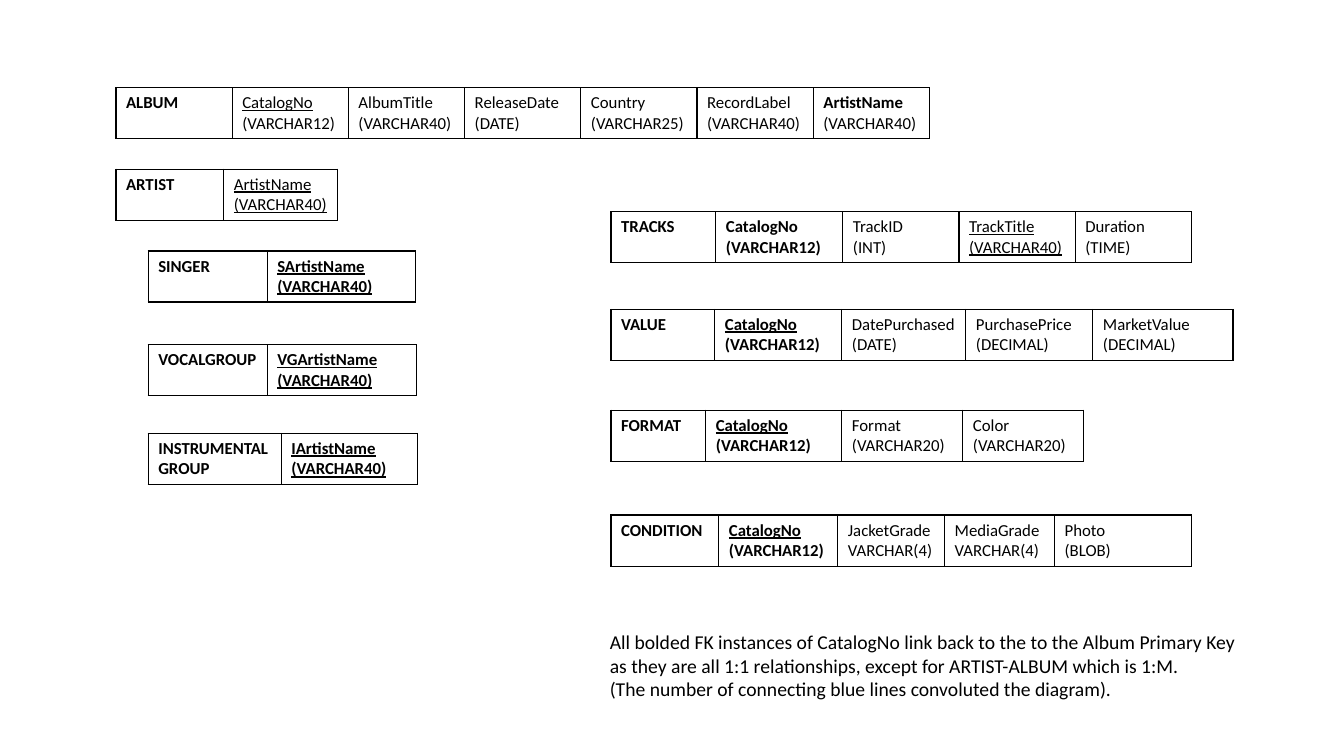
from copy import deepcopy
from lxml.etree import SubElement
from pptx import Presentation
from pptx.dml.color import RGBColor as RGB
from pptx.enum.text import MSO_AUTO_SIZE as AutoSize
from pptx.oxml.ns import qn
from pptx.util import Inches, Pt

COLORS = {"ink": "000000"}
FONT = "Calibri"
ROW_H = 0.5
LEFT, INDENT, RIGHT = 1.15, 1.47, 6.06  # left edges of the table groups
STD = 8.07 / 7  # usual column width: a seventh of the widest table

# A line is (text, style): b = bold, u = underlined.
# A final "\n" keeps the next line in the same paragraph.
V12, V20, V40 = "(VARCHAR12)", "(VARCHAR20)", "(VARCHAR40)"


def field(name, kind, style="", kind_style=""):
    return [(name, style), (kind, kind_style)]


CATALOG_KEY = field("CatalogNo\n", V12, "bu", "b")

# Entity: left, top, column widths, fields
ENTITIES = {
    "ALBUM": (LEFT, 0.87, [STD] * 7, [
        field("CatalogNo\n", V12, "u"), field("AlbumTitle\n", V40),
        field("ReleaseDate", "(DATE)"), field("Country", "(VARCHAR25)"),
        field("RecordLabel", V40), field("ArtistName", V40, "b")]),
    "ARTIST": (LEFT, 1.68, [1.07, 1.13], [field("ArtistName", V40, "u", "u")]),
    "SINGER": (INDENT, 2.49, [1.18, 1.47],
               [field("SArtistName", V40, "bu", "bu")]),
    "VOCALGROUP": (INDENT, 3.42, [1.18, 1.48],
                   [field("VGArtistName", V40, "bu", "bu")]),
    "INSTRUMENTAL GROUP": (INDENT, 4.3, [1.32, 1.35],
                           [field("IArtistName", V40, "bu", "bu")]),
    "TRACKS": (RIGHT, 2.1, [1.04, 1.26] + [STD] * 3, [
        field("CatalogNo\n", V12, "b", "b"), field("TrackID", "(INT)"),
        field("TrackTitle", V40, "u", "u"), field("Duration", "(TIME)")]),
    "VALUE": (RIGHT, 3.07, [1.03, 1.26, 1.23, 1.26, 1.39], [
        CATALOG_KEY, field("DatePurchased", "(DATE)"),
        field("PurchasePrice", "(DECIMAL)"), field("MarketValue", "(DECIMAL)")]),
    "FORMAT": (RIGHT, 4.07, [0.94, 1.35, 1.2, 1.2], [
        CATALOG_KEY, field("Format", V20), field("Color", V20)]),
    "CONDITION": (RIGHT, 5.11, [1.07, 1.18, 1.06, 1.09, 1.36], [
        CATALOG_KEY, field("JacketGrade", "VARCHAR(4)"),
        field("MediaGrade", "VARCHAR(4)"), field("Photo", "(BLOB)")]),
}
NOTE = [
    "All bolded FK instances of CatalogNo link back to the to the Album Primary Key\n",
    "as they are all 1:1 relationships, except for ARTIST-ALBUM which is 1:M.",
    "(The number of connecting blue lines convoluted the diagram).",
]


def write(tf, lines, size):
    p = tf.paragraphs[0]
    for i, (text, style) in enumerate(lines):
        if i and not lines[i - 1][0].endswith("\n"):
            p = tf.add_paragraph()
        r = p.add_run()
        r.text = text.rstrip("\n")
        formats = {"name": FONT, "size": Pt(size),
                   "bold": "b" in style, "underline": "u" in style}
        for key, value in formats.items():
            setattr(r.font, key, value)
        r.font.color.rgb = RGB.from_string(COLORS["ink"])
        if text.endswith("\n"):  # the break takes the size of its line
            p.add_line_break()
            p._p[-1].append(deepcopy(r._r.find(qn("a:rPr"))))


def add_borders(cell):
    tc_pr = cell._tc.get_or_add_tcPr()
    for side in ("lnL", "lnR", "lnT", "lnB"):
        ln = SubElement(tc_pr, qn("a:" + side), w=str(Pt(1)))
        fill = SubElement(ln, qn("a:solidFill"))
        SubElement(fill, qn("a:srgbClr"), val=COLORS["ink"])


prs = Presentation()
prs.slide_width, prs.slide_height = Inches(13.33), Inches(7.5)
s = prs.slides.add_slide(prs.slide_layouts[6])

# Entity tables
for entity, (left, top, widths, fields) in ENTITIES.items():
    table = s.shapes.add_table(1, len(widths), Inches(left), Inches(top),
                               Inches(sum(widths)), Inches(ROW_H)).table
    table.first_row = table.horz_banding = False
    for col, width in zip(table.columns, widths):
        col.width = Inches(width)
    for cell, lines in zip(table.rows[0].cells, [[(entity, "b")]] + fields):
        write(cell.text_frame, lines, 12)
        add_borders(cell)
        cell.fill.background()

# Note on the relationships
sp = s.shapes.add_textbox(Inches(5.95), Inches(6.2), Inches(6.46), Inches(0.81))
tf = sp.text_frame
tf.word_wrap = False
tf.auto_size = AutoSize.SHAPE_TO_FIT_TEXT
write(tf, [(line, "") for line in NOTE], 14)

prs.save("out.pptx")
